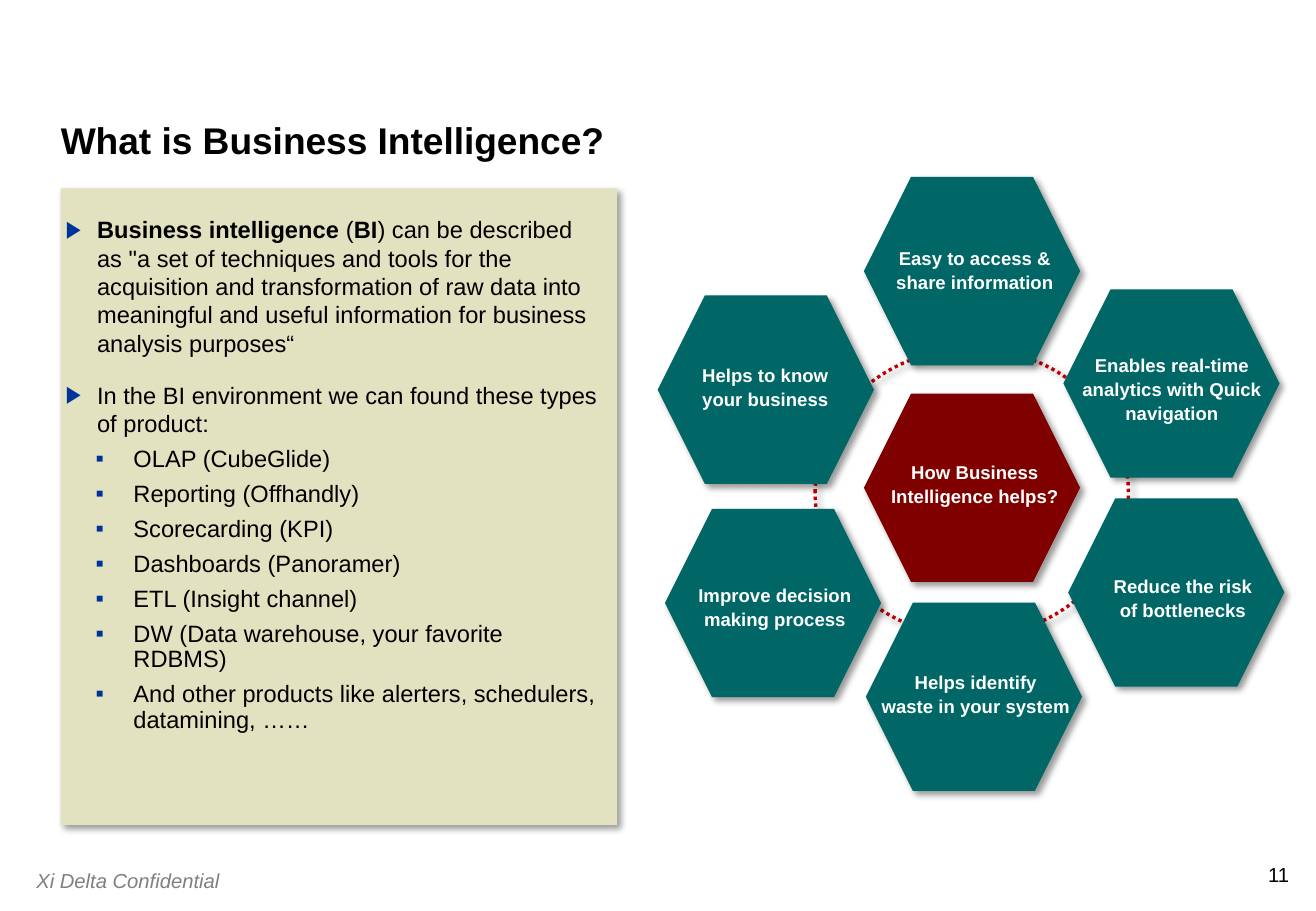
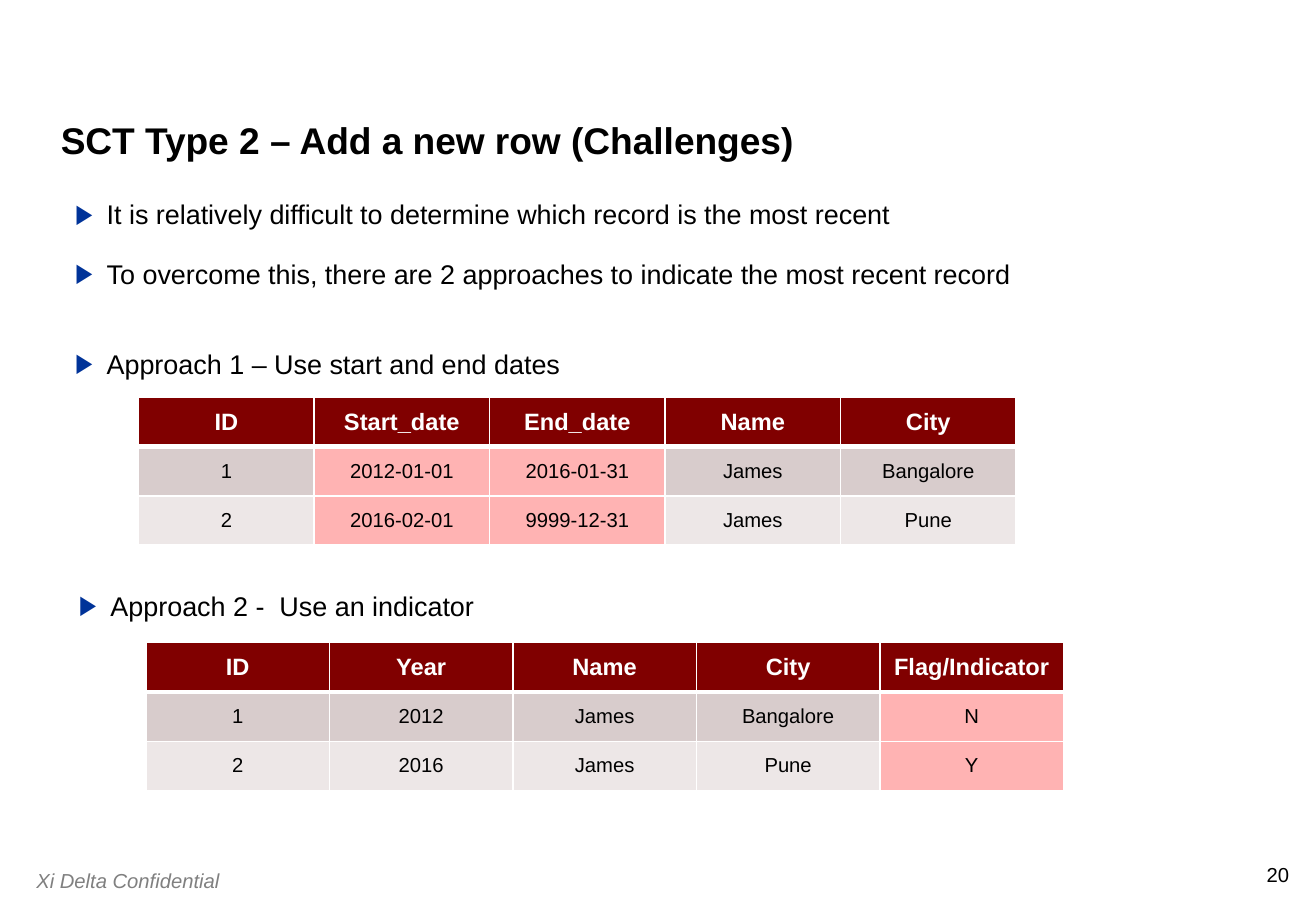
from lxml.etree import SubElement
from pptx import Presentation
from pptx.dml.color import RGBColor
from pptx.enum.dml import MSO_LINE
from pptx.enum.shapes import MSO_SHAPE
from pptx.enum.text import MSO_ANCHOR, MSO_AUTO_SIZE, PP_ALIGN
from pptx.oxml.ns import qn
from pptx.util import Cm, Pt

# Shared look
FONT = "Arial"
BLACK, WHITE, GREY = "000000", "FFFFFF", "808080"
MAROON, TEAL, SAND = "800000", "006666", "E2E1C0"
BULLET_BLUE, RING_RED = "003399", "C00000"
HIGHLIGHT, BANDS = "FFB3B3", ("D8CCCC", "EDE7E7")
FOOTER = "Xi Delta Confidential"

# Hexagon and label sizes in cm
HEX_W, HEX_H = 4.52, 3.94
LABEL_W, LABEL_H = 4.5, 1.8

# Bullet levels: character, left margin, hanging indent (cm), line spacing, space before (of size)
LEVELS = (("▶", 0.66, 0.66, 1.0, 1.0), ("▪", 1.42, 0.79, 0.9, 0.4))

BI_POINTS = [
    (0, '**Business intelligence** (**BI**) can be described as "a set of techniques and tools '
        'for the acquisition and transformation of raw data into meaningful and useful '
        'information for business analysis purposes“'),
    (0, "In the BI environment we can found these types of product:"),
    (1, "OLAP (CubeGlide)"),
    (1, "Reporting (Offhandly)"),
    (1, "Scorecarding (KPI)"),
    (1, "Dashboards (Panoramer)"),
    (1, "ETL (Insight channel)"),
    (1, "DW (Data warehouse, your favorite RDBMS)"),
    (1, "And other products like alerters, schedulers, datamining, ……"),
]

# Hexagons: left, top, label centre x, label centre y (cm), fill, lines of the label
HEXAGONS = [
    (18.06, 8.23, 20.38, 10.12, MAROON, ("How Business", "Intelligence helps?")),
    (22.23, 6.05, 24.5, 8.13, TEAL,
     ("Enables real-time", "analytics with Quick", "navigation")),
    (18.06, 3.7, 20.38, 5.64, TEAL, ("Easy to access &", "share information")),
    (13.75, 6.18, 16.0, 8.1, TEAL, ("Helps to know", "your business")),
    (13.9, 10.64, 16.2, 12.7, TEAL, ("Improve decision", "making process")),
    (22.33, 10.42, 24.73, 12.5, TEAL, ("Reduce the risk", "of bottlenecks")),
    (18.1, 12.6, 20.4, 14.52, TEAL, ("Helps identify", "waste in your system")),
]

DATE_ROWS = [
    ("ID", "Start_date", "End_date", "Name", "City"),
    ("1", "2012-01-01", "2016-01-31", "James", "Bangalore"),
    ("2", "2016-02-01", "9999-12-31", "James", "Pune"),
]
FLAG_ROWS = [
    ("ID", "Year", "Name", "City", "Flag/Indicator"),
    ("1", "2012", "James", "Bangalore", "N"),
    ("2", "2016", "James", "Pune", "Y"),
]


def rgb(value):
    return RGBColor.from_string(value)


def style(p, size, color=BLACK, bold=False, italic=False):
    for r in p.runs:
        r.font.name = FONT
        r.font.size = Pt(size)
        r.font.color.rgb = rgb(color)
        r.font.bold = bold
        r.font.italic = italic


def place(sp, left, top, width, height):
    sp.left, sp.top, sp.width, sp.height = Cm(left), Cm(top), Cm(width), Cm(height)


def set_frame(tf, anchor=MSO_ANCHOR.TOP, wrap=True):
    tf.margin_left = tf.margin_top = tf.margin_right = tf.margin_bottom = 0
    tf.auto_size = MSO_AUTO_SIZE.NONE
    tf.vertical_anchor = anchor
    tf.word_wrap = wrap


def add_box(slide, left, top, width, height, lines, size, color=BLACK, bold=False,
            italic=False, align=PP_ALIGN.LEFT, anchor=MSO_ANCHOR.TOP):
    sp = slide.shapes.add_textbox(Cm(left), Cm(top), Cm(width), Cm(height))
    tf = sp.text_frame
    set_frame(tf, anchor, wrap=False)
    tf.text = "\n".join(lines)
    for i, p in enumerate(tf.paragraphs):
        p.alignment = align
        if i:
            p.space_before = Pt(size / 10)
        style(p, size, color, bold, italic)


def add_shadow(sp):
    effects = SubElement(sp._element.spPr, qn("a:effectLst"))
    shadow = SubElement(effects, qn("a:outerShdw"), blurRad=str(Pt(4)), dist=str(Pt(3)),
                        dir="2700000", algn="tl", rotWithShape="0")
    color = SubElement(shadow, qn("a:srgbClr"), val=BLACK)
    SubElement(color, qn("a:alpha"), val="40000")


def add_shape(slide, preset, left, top, width, height, fill=None, line=None):
    sp = slide.shapes.add_shape(preset, Cm(left), Cm(top), Cm(width), Cm(height))
    if fill:
        sp.fill.solid()
        sp.fill.fore_color.rgb = rgb(fill)
    else:
        sp.fill.background()
    if line:
        sp.line.color.rgb = rgb(line)
        sp.line.width = Pt(2)
        sp.line.dash_style = MSO_LINE.ROUND_DOT
    else:
        sp.line.fill.background()
    add_shadow(sp)


def set_bullet(p, level):
    char, margin, hanging, _, _ = LEVELS[level]
    pPr = p._p.get_or_add_pPr()
    pPr.set("marL", str(Cm(margin)))
    pPr.set("indent", str(-Cm(hanging)))
    color = SubElement(pPr, qn("a:buClr"))
    SubElement(color, qn("a:srgbClr"), val=BULLET_BLUE)
    SubElement(pPr, qn("a:buFont"), typeface=FONT)
    SubElement(pPr, qn("a:buChar"), char=char)


def fill_bullets(tf, items, size):
    """Write (level, text) items; text between ** marks is bold."""
    set_frame(tf)
    for i, (level, text) in enumerate(items):
        p = tf.add_paragraph() if i else tf.paragraphs[0]
        p.level = level
        set_bullet(p, level)
        p.line_spacing = LEVELS[level][3]
        p.space_before = Pt(size * LEVELS[level][4] if i else 0)
        parts = text.split("**")
        for part in parts:
            p.add_run().text = part
        style(p, size)
        for r in p.runs[1::2]:
            r.font.bold = True
        for r in p.runs:
            if not r.text:
                p._p.remove(r._r)


def add_heading(slide, left, top, text):
    sp = slide.shapes.add_textbox(Cm(left), Cm(top), Cm(24.33), Cm(0.61))
    fill_bullets(sp.text_frame, [(0, text)], 16)


def set_borders(cell, top, bottom):
    tcPr = cell._tc.get_or_add_tcPr()
    for i, (side, width) in enumerate((("L", 1), ("R", 1), ("T", top), ("B", bottom))):
        ln = tcPr.makeelement(qn("a:ln" + side), {"w": str(Pt(width))})
        fill = SubElement(ln, qn("a:solidFill"))
        SubElement(fill, qn("a:srgbClr"), val=WHITE)
        tcPr.insert(i, ln)


def add_data_table(slide, left, top, width, rows, highlighted):
    row_h = 1.03
    frame = slide.shapes.add_table(len(rows), len(rows[0]), Cm(left), Cm(top),
                                   Cm(width), Cm(row_h * len(rows)))
    table = frame.table
    table.first_row = table.horz_banding = False
    for y, row in enumerate(rows):
        table.rows[y].height = Cm(row_h)
        for x, text in enumerate(row):
            cell = table.cell(y, x)
            header = y == 0
            fill = MAROON if header else HIGHLIGHT if x in highlighted else BANDS[y - 1]
            cell.fill.solid()
            cell.fill.fore_color.rgb = rgb(fill)
            cell.vertical_anchor = MSO_ANCHOR.MIDDLE
            set_borders(cell, top=3 if y == 1 else 1, bottom=3 if header else 1)
            cell.text_frame.text = text
            p = cell.text_frame.paragraphs[0]
            p.alignment = PP_ALIGN.CENTER
            style(p, 14 if header else 12, WHITE if header else BLACK, bold=header)


def new_slide(prs, title, number):
    """Add a slide with title, footer and page number; return it with its body."""
    slide = prs.slides.add_slide(prs.slide_layouts[1])
    sp = slide.shapes.title
    place(sp, 1.27, 1.07, 24.97, 2.34)
    set_frame(sp.text_frame, MSO_ANCHOR.BOTTOM)
    sp.text_frame.text = title
    p = sp.text_frame.paragraphs[0]
    p.alignment = PP_ALIGN.LEFT
    p.line_spacing = 0.9
    style(p, 22, bold=True)
    add_box(slide, 26.42, 18.03, 0.53, 0.51, [number], 12, align=PP_ALIGN.RIGHT)
    add_box(slide, 0.76, 18.16, 4.6, 0.5, [FOOTER], 12, GREY, italic=True)
    return slide, slide.placeholders[1]


def build_intelligence(prs):
    slide, body = new_slide(prs, "What is Business Intelligence?", "11")
    # Panel behind the list
    add_shape(slide, MSO_SHAPE.RECTANGLE, 1.27, 3.94, 11.63, 13.31, SAND)
    slide.shapes._spTree.append(body._element)
    place(body, 1.37, 4.5, 11.2, 13.31)
    fill_bullets(body.text_frame, BI_POINTS, 14)
    # Dotted ring, hexagons, then labels
    add_shape(slide, MSO_SHAPE.OVAL, 17.04, 7.29, 6.55, 6.02, line=RING_RED)
    for left, top, _, _, fill, _ in HEXAGONS:
        add_shape(slide, MSO_SHAPE.HEXAGON, left, top, HEX_W, HEX_H, fill)
    for _, _, cx, cy, _, lines in HEXAGONS:
        add_box(slide, cx - LABEL_W / 2, cy - LABEL_H / 2, LABEL_W, LABEL_H, lines, 11,
                WHITE, bold=True, align=PP_ALIGN.CENTER, anchor=MSO_ANCHOR.MIDDLE)


def build_challenges(prs):
    slide, body = new_slide(prs, "SCT Type 2 – Add a new row (Challenges)", "20")
    place(body, 1.57, 4.14, 24.33, 2.2)
    fill_bullets(body.text_frame, [
        (0, "It is relatively difficult to determine which record is the most recent"),
        (0, "To overcome this, there are 2 approaches to indicate the most recent record"),
    ], 16)
    # The two approaches
    add_heading(slide, 1.57, 7.26, "Approach 1 – Use start and end dates")
    add_data_table(slide, 2.9, 8.31, 18.34, DATE_ROWS, highlighted=(1, 2))
    add_heading(slide, 1.65, 12.32, "Approach 2 -  Use an indicator")
    add_data_table(slide, 3.05, 13.44, 19.18, FLAG_ROWS, highlighted=(4,))


def main():
    prs = Presentation()
    prs.slide_width, prs.slide_height = Cm(27.51), Cm(19.05)
    build_intelligence(prs)
    build_challenges(prs)
    prs.save("out.pptx")


if __name__ == "__main__":
    main()
